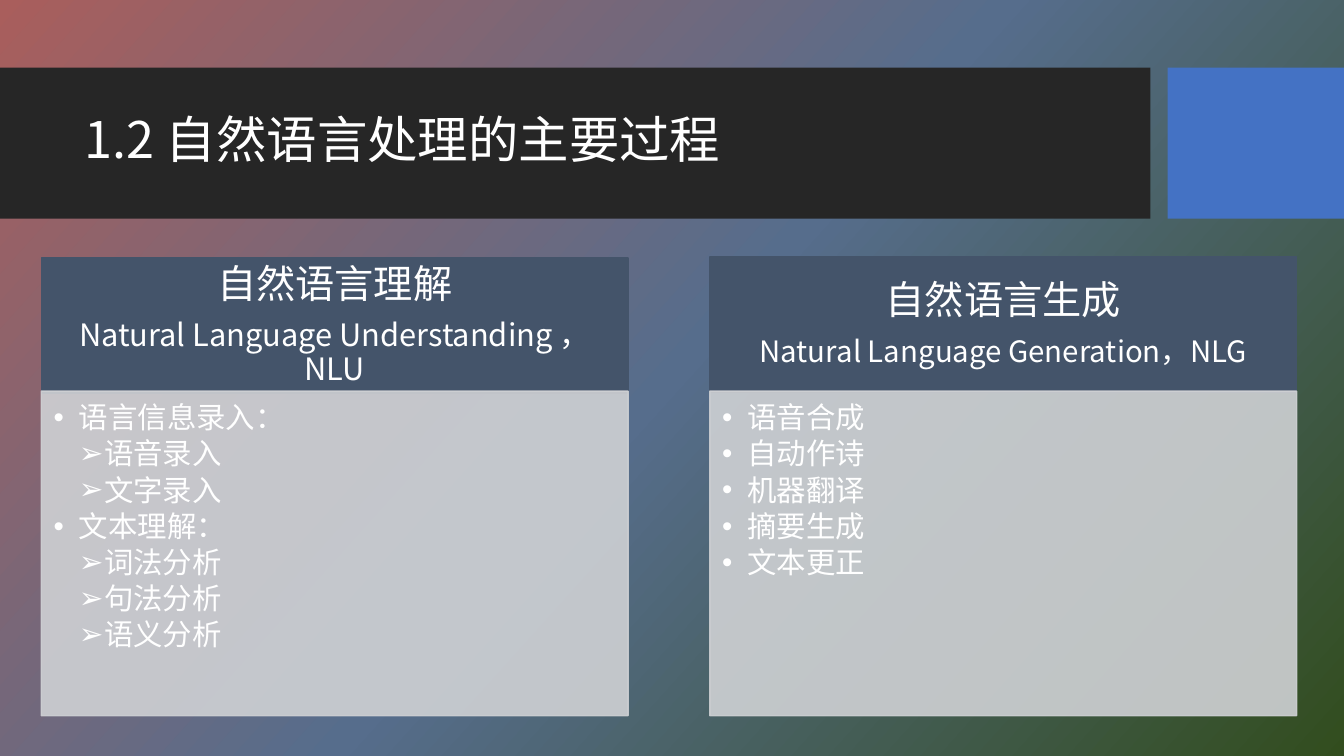
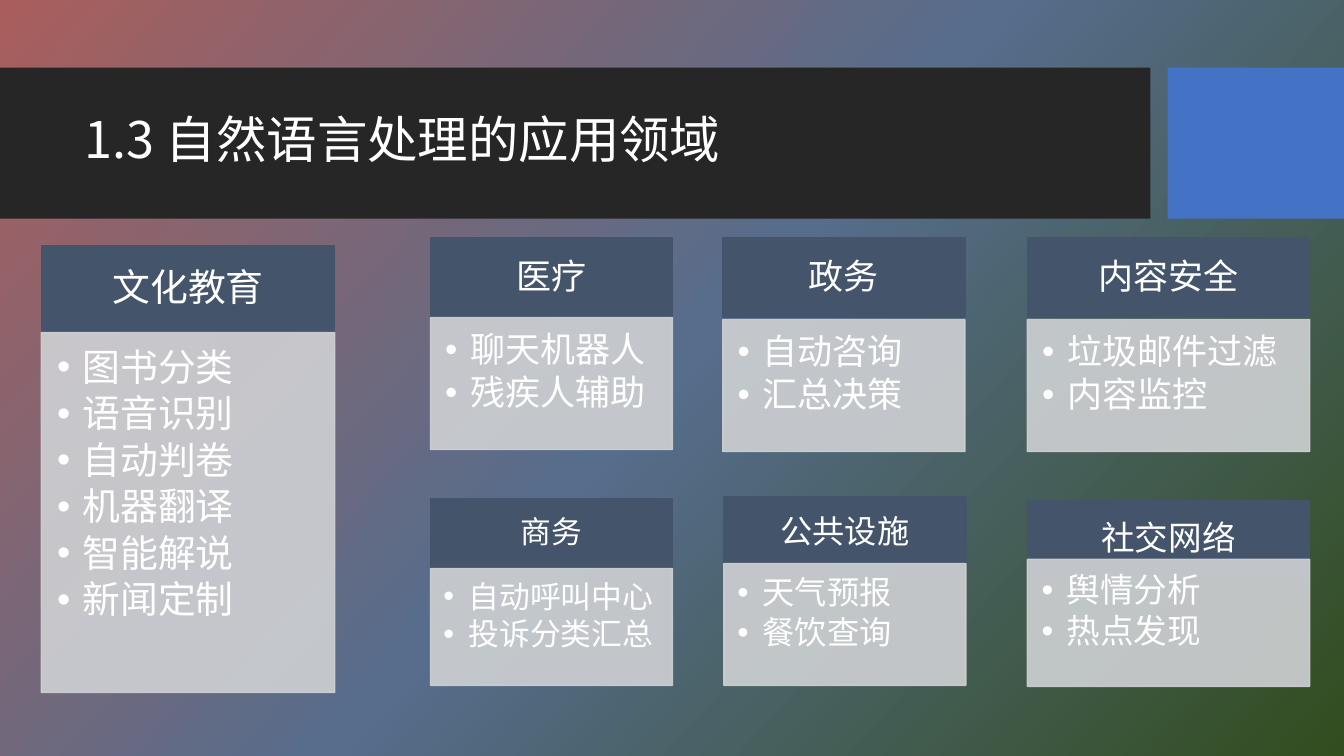
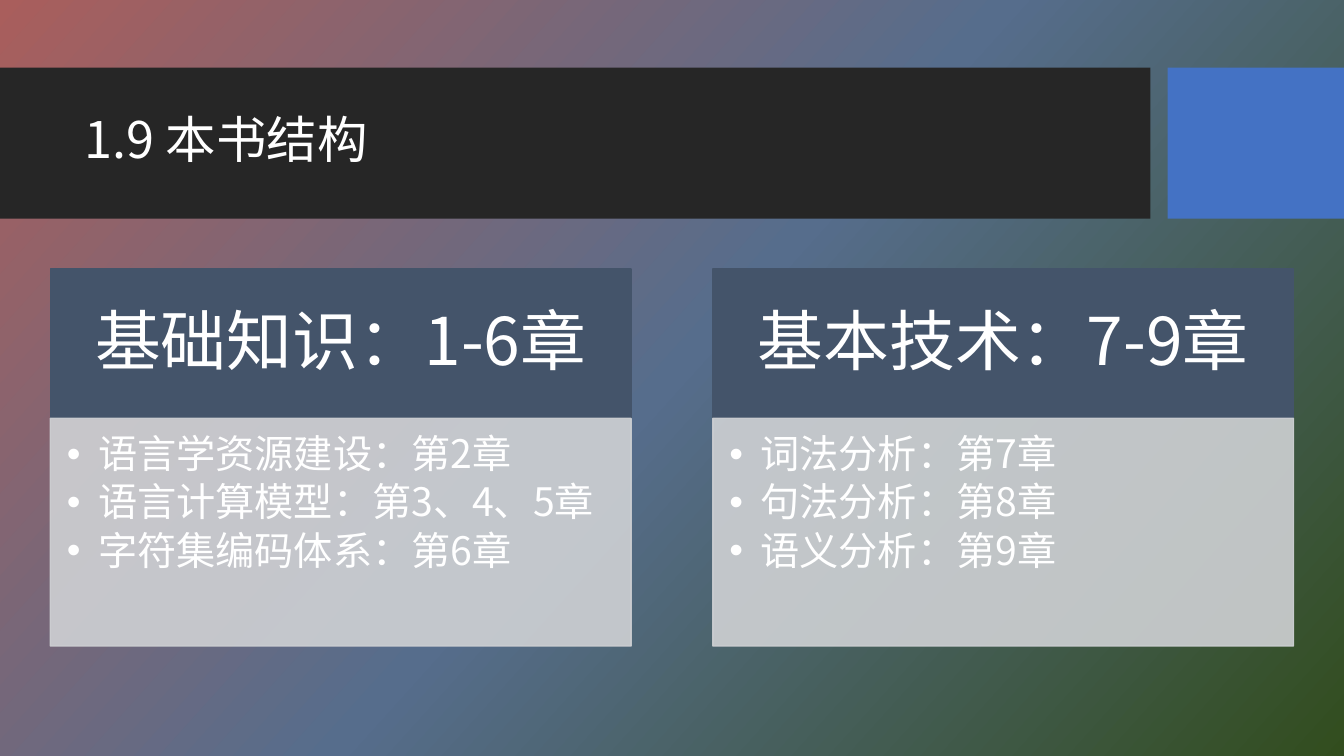
import pptx
import pptx.dml.color
import pptx.enum.dml
import pptx.enum.shapes
import pptx.enum.text
import pptx.oxml.ns
import pptx.util
from copy import deepcopy
from lxml import etree

Inches, Pt = pptx.util.Inches, pptx.util.Pt
RGBColor = pptx.dml.color.RGBColor
PP_ALIGN = pptx.enum.text.PP_ALIGN
MSO_ANCHOR = pptx.enum.text.MSO_ANCHOR
qn = pptx.oxml.ns.qn

FONT = "Noto Sans CJK SC"
WHITE = RGBColor(0xFF, 0xFF, 0xFF)
BAND = RGBColor(0x26, 0x26, 0x26)
ACCENT = RGBColor(0x44, 0x72, 0xC4)
HEADER = RGBColor(0x44, 0x54, 0x6A)
BODY = RGBColor(0xCF, 0xD1, 0xD4)
GRADIENT = [RGBColor(0xA9, 0x5E, 0x5C), RGBColor(0x56, 0x6D, 0x8C), RGBColor(0x32, 0x4D, 0x1E)]

# Panels: left, top, width, header height, body top, body height,
# header lines (text, size), body size, indent, body lines (level, text)
PROCESS = [
    (0.41, 2.56, 5.82, 1.34, 3.88, 3.22,
     [("自然语言理解", 28), ("Natural Language Understanding ，NLU", 22)], 21, 0.25,
     [(1, "语言信息录入："), (2, "语音录入"), (2, "文字录入"), (1, "文本理解："),
      (2, "词法分析"), (2, "句法分析"), (2, "语义分析")]),
    (7.04, 2.55, 5.82, 1.34, 3.88, 3.22,
     [("自然语言生成", 28), ("Natural Language Generation，NLG", 21)], 21, 0.25,
     [(1, t) for t in ("语音合成", "自动作诗", "机器翻译", "摘要生成", "文本更正")]),
]

FIELDS = [
    (*box, [(head, size)], size, 0.25, [(1, t) for t in items])
    for box, head, size, items in [
        ((0.41, 2.44, 2.91, 0.85, 3.3, 3.57), "文化教育", 27,
         ["图书分类", "语音识别", "自动判卷", "机器翻译", "智能解说", "新闻定制"]),
        ((4.27, 2.36, 2.4, 0.79, 3.15, 1.31), "医疗", 25, ["聊天机器人", "残疾人辅助"]),
        ((4.27, 4.95, 2.4, 0.69, 5.64, 1.16), "商务", 22, ["自动呼叫中心", "投诉分类汇总"]),
        ((7.17, 2.36, 2.4, 0.79, 3.17, 1.31), "政务", 25, ["自动咨询", "汇总决策"]),
        ((7.18, 4.93, 2.4, 0.72, 5.59, 1.21), "公共设施", 23, ["天气预报", "餐饮查询"]),
        ((10.19, 2.36, 2.8, 0.79, 3.17, 1.31), "内容安全", 25, ["垃圾邮件过滤", "内容监控"]),
        ((10.19, 4.97, 2.8, 0.76, 5.55, 1.26), "社交网络", 24, ["舆情分析", "热点发现"]),
    ]
]

STRUCTURE = [
    (left, 2.67, 5.76, 1.48, 4.15, 2.26, [(head, 47)], 28, 0.31, [(1, t) for t in items])
    for left, head, items in [
        (0.5, "基础知识：1-6章",
         ["语言学资源建设：第2章", "语言计算模型：第3、4、5章", "字符集编码体系：第6章"]),
        (7.07, "基本技术：7-9章", ["词法分析：第7章", "句法分析：第8章", "语义分析：第9章"]),
    ]
]

SLIDES = [
    ("1.2 自然语言处理的主要过程", PROCESS),
    ("1.3 自然语言处理的应用领域", FIELDS),
    ("1.9 本书结构", STRUCTURE),
]


def set_attrs(obj, values):
    for name, value in values.items():
        setattr(obj, name, value)


def set_background(master):
    """Three-stop diagonal gradient shared by every slide."""
    fill = master.background.fill
    fill.gradient()
    fill.gradient_angle = 318
    stops = fill._fill._gradFill.find(qn("a:gsLst"))
    stops.insert(1, deepcopy(stops[0]))
    for i, (stop, color) in enumerate(zip(fill.gradient_stops, GRADIENT)):
        stop.color.rgb = color
        stop.position = i / 2


def add_rect(s, box, color, line=False, alpha=None):
    sp = s.shapes.add_shape(pptx.enum.shapes.MSO_SHAPE.RECTANGLE, *map(Inches, box))
    sp.shadow.inherit = False
    sp.fill.solid()
    sp.fill.fore_color.rgb = color
    if line:
        sp.line.color.rgb = color
        sp.line.width = Pt(1)
    else:
        sp.line.fill.background()
    if alpha:
        for clr in sp._element.spPr.iter(qn("a:srgbClr")):
            etree.SubElement(clr, qn("a:alpha"), val=str(alpha * 1000))
    return sp


def set_frame(tf, anchor, insets):
    left, top, right, bottom = map(Inches, insets)
    set_attrs(tf, dict(word_wrap=True, vertical_anchor=anchor, margin_left=left,
                       margin_top=top, margin_right=right, margin_bottom=bottom))


def add_line(tf, first, text, size, align, after=0, level=0, indent=0):
    p = tf.paragraphs[0] if first else tf.add_paragraph()
    set_attrs(p, dict(alignment=align, line_spacing=0.9,
                      space_after=Pt(round(size * after, 2)), level=level))
    if level:
        pPr = p._p.get_or_add_pPr()
        pPr.set("marL", str(Inches(indent * level)))
        pPr.set("indent", str(-Inches(indent)))
        etree.SubElement(pPr, qn("a:buFont"), typeface="Arial")
        etree.SubElement(pPr, qn("a:buChar"), char="•" if level == 1 else "➢")
    r = p.add_run()
    r.text = text
    set_attrs(r.font, dict(size=Pt(size), name=FONT))
    r.font.color.rgb = WHITE
    r.font._element.find(qn("a:latin")).addnext(
        etree.Element(qn("a:ea"), typeface=FONT))


def add_title(s, title):
    add_rect(s, (0, 0.67, 11.41, 1.5), BAND)
    add_rect(s, (11.58, 0.67, 1.75, 1.5), ACCENT)
    tf = s.shapes.add_textbox(*map(Inches, (0.74, 0.82, 10.51, 1.18))).text_frame
    set_frame(tf, MSO_ANCHOR.MIDDLE, (0.1, 0.05, 0.1, 0.05))
    add_line(tf, True, title, 36, PP_ALIGN.LEFT)


def add_panel(s, left, top, width, head_h, body_top, body_h, heads, size, indent, items):
    # Header, with insets in proportion to its text size
    tf = add_rect(s, (left, top, width, head_h), HEADER, line=True).text_frame
    em = heads[0][1] / 72
    set_frame(tf, MSO_ANCHOR.MIDDLE, [em * k for k in (0.56, 0.32, 0.56, 0.32)])
    for i, (text, head_size) in enumerate(heads):
        add_line(tf, i == 0, text, head_size, PP_ALIGN.CENTER, after=0.35)

    # Bulleted body
    tf = add_rect(s, (left, body_top, width, body_h), BODY, line=True, alpha=90).text_frame
    em = size / 72
    set_frame(tf, MSO_ANCHOR.TOP, [em * k for k in (0.42, 0.42, 0.56, 0.63)])
    for i, (level, text) in enumerate(items):
        add_line(tf, i == 0, text, size, PP_ALIGN.LEFT, 0.15, level, indent)


def main():
    prs = pptx.Presentation()
    set_attrs(prs, dict(slide_width=Inches(13.33), slide_height=Inches(7.5)))
    set_background(prs.slide_master)
    for title, panels in SLIDES:
        s = prs.slides.add_slide(prs.slide_layouts[6])
        add_title(s, title)
        for panel in panels:
            add_panel(s, *panel)
    prs.save("out.pptx")


if __name__ == "__main__":
    main()
